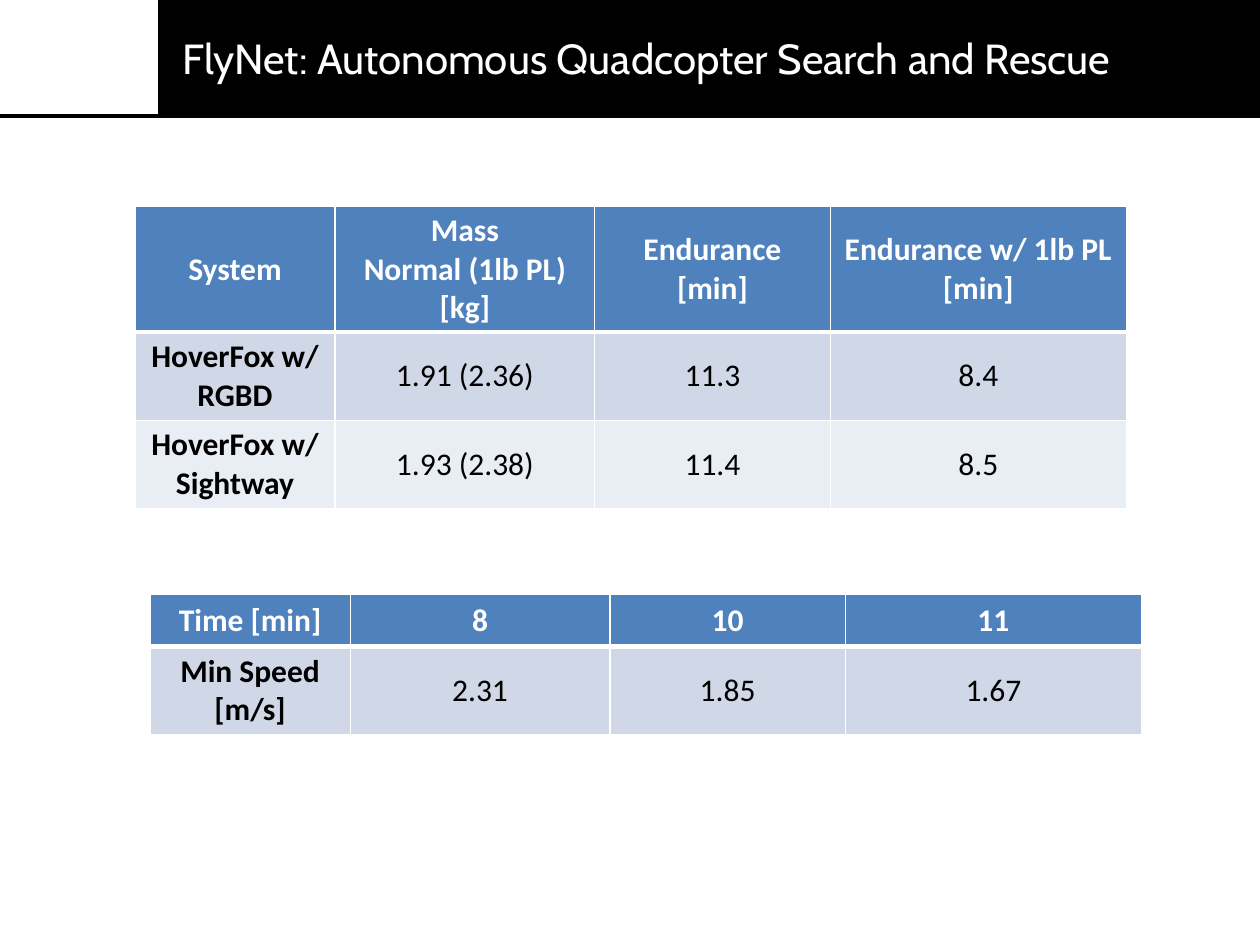
from lxml import etree
from pptx import Presentation
from pptx.dml.color import RGBColor
from pptx.enum.shapes import MSO_CONNECTOR, MSO_SHAPE
from pptx.enum.text import MSO_ANCHOR, PP_ALIGN
from pptx.oxml.ns import qn
from pptx.util import Inches, Pt

CENTER = PP_ALIGN.CENTER
MIDDLE = MSO_ANCHOR.MIDDLE
LINE = MSO_CONNECTOR.STRAIGHT
RECT = MSO_SHAPE.RECTANGLE

BLACK, WHITE, BLUE = "000000", "FFFFFF", "4F81BD"
BANDS = ["D0D8E8", "E9EDF4"]
COLS = [1.59, 2.06, 1.87, 2.35]


def color(fmt, code):
    fmt.rgb = RGBColor.from_string(code)


def border(cell, side, width):
    props = cell._tc.get_or_add_tcPr()
    edge = etree.SubElement(props, qn("a:ln" + side), w=str(Pt(width)))
    fill = etree.SubElement(edge, qn("a:solidFill"))
    etree.SubElement(fill, qn("a:srgbClr"), val=WHITE)


deck = Presentation()
deck.slide_width, deck.slide_height = Inches(10), Inches(7.5)
slide = deck.slides.add_slide(deck.slide_layouts.get_by_name("Title Only"))
shapes = slide.shapes

# Header rule and bar
rule = shapes.add_connector(LINE, 0, Inches(0.92), Inches(10), Inches(0.92))
color(rule.line.color, BLACK)
rule.line.width = Pt(2)
etree.SubElement(rule.element.spPr, qn("a:effectLst"))

bar = shapes.add_shape(RECT, Inches(1.26), 0, Inches(8.74), Inches(0.91))
bar.shadow.inherit = False
bar.fill.solid()
color(bar.fill.fore_color, BLACK)
color(bar.line.color, BLACK)
bar.line.width = Pt(0.75)

# Title, brought in front of the bar
title = shapes.title
title.left, title.top = Inches(1.31), Inches(0.21)
title.width, title.height = Inches(7.64), Inches(0.5)
title.element.getparent().append(title.element)
frame = title.text_frame
frame.text = "FlyNet: Autonomous Quadcopter Search and Rescue"
frame.vertical_anchor = MIDDLE
head = frame.paragraphs[0]
head.alignment = CENTER
head.font.name, head.font.size = "Cabin", Pt(24)
color(head.font.color, WHITE)

# Tables: left, top, row heights, cell texts
tables = [
    (1.07, 1.64, [0.98, 0.7, 0.7], [
        ["System", "Mass\nNormal (1lb PL)\n[kg]", "Endurance [min]",
         "Endurance w/ 1lb PL [min]"],
        ["HoverFox w/ RGBD", "1.91 (2.36)", "11.3", "8.4"],
        ["HoverFox w/ Sightway", "1.93 (2.38)", "11.4", "8.5"],
    ]),
    (1.19, 4.72, [0.41, 0.7], [
        ["Time [min]", "8", "10", "11"],
        ["Min Speed [m/s]", "2.31", "1.85", "1.67"],
    ]),
]
for left, top, highs, rows in tables:
    table = shapes.add_table(
        len(rows), len(COLS), Inches(left), Inches(top),
        Inches(sum(COLS)), Inches(sum(highs))).table
    for col, width in zip(table.columns, COLS):
        col.width = Inches(width)
    for r, (high, texts) in enumerate(zip(highs, rows)):
        table.rows[r].height = Inches(high)
        for c, text in enumerate(texts):
            cell = table.cell(r, c)
            cell.text = text
            cell.vertical_anchor = MIDDLE
            cell.margin_top = cell.margin_bottom = Inches(0.04)
            # The edge between header and body is thicker
            for side in "LRTB":
                thick = (r, side) in [(0, "B"), (1, "T")]
                border(cell, side, 3 if thick else 1)
            cell.fill.solid()
            color(cell.fill.fore_color, BANDS[r - 1] if r else BLUE)
            for para in cell.text_frame.paragraphs:
                para.alignment = CENTER
                para.font.name, para.font.size = "Calibri", Pt(18)
                para.font.bold = r == 0 or c == 0
                color(para.font.color, BLACK if r else WHITE)

deck.save("out.pptx")
